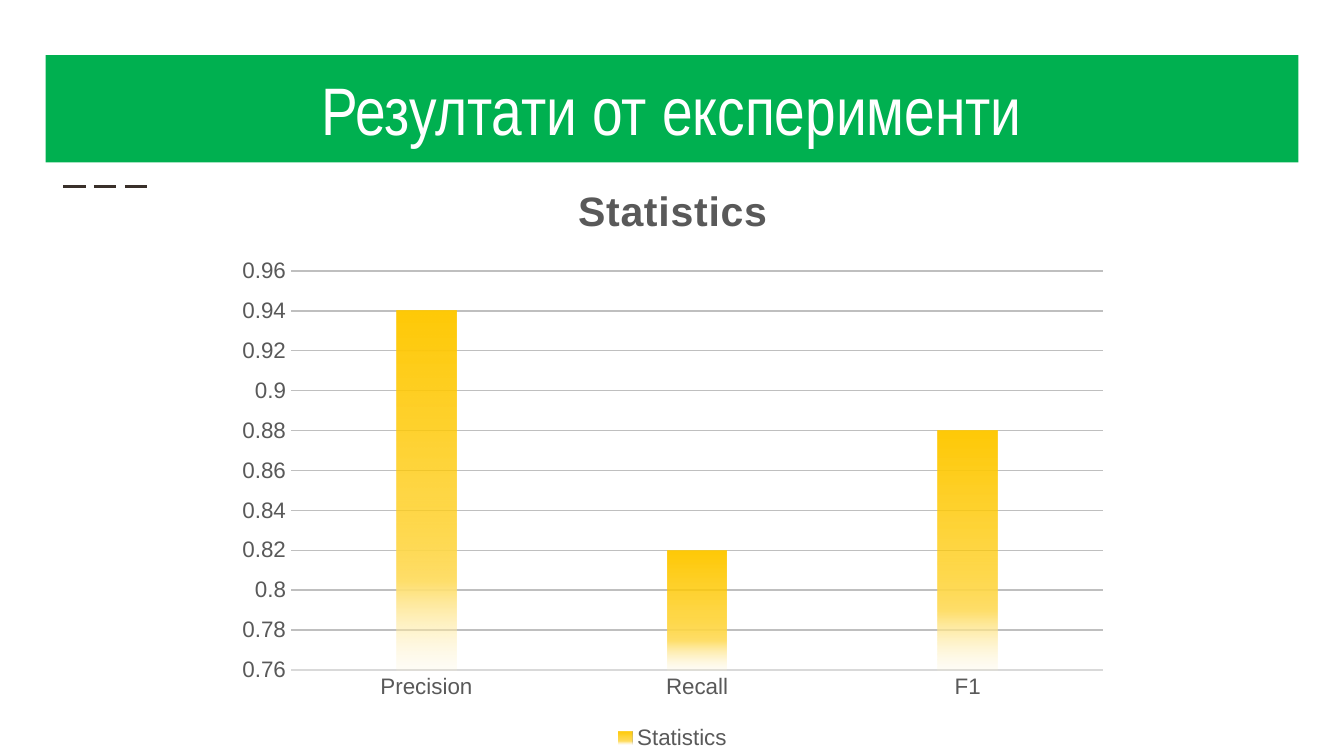
from lxml.etree import SubElement
from pptx import Presentation
from pptx.chart.data import CategoryChartData
from pptx.dml.color import RGBColor
from pptx.enum.chart import XL_CHART_TYPE, XL_LEGEND_POSITION, XL_TICK_MARK
from pptx.enum.dml import MSO_LINE
from pptx.enum.shapes import MSO_CONNECTOR, MSO_SHAPE
from pptx.enum.text import MSO_ANCHOR, PP_ALIGN
from pptx.oxml.ns import qn
from pptx.util import Inches, Pt

COLORS = {
    "banner": "00B050",
    "white": "FFFFFF",
    "dash": "39302A",
    "text": "595959",
    "axis": "D9D9D9",
    "grid": "BFBFBF",
}
BAR_STOPS = [(0, "FFCA08", 100), (51, "FFCA08", 75), (75, "FFDF6B", 100), (100, "FFF4CE", 15)]


def rgb(name):
    return RGBColor.from_string(COLORS[name])


class SlideBuilder:
    """Holds the style and the current slide and adds each kind of element."""

    def __init__(self, slide, font="Arial", title_font="Arial Narrow"):
        self.slide = slide
        self.font = font
        self.title_font = title_font

    def style(self, font, size, color="text", bold=False, name=None):
        font.name = name or self.font
        font.size = Pt(size)
        font.bold = bold
        font.color.rgb = rgb(color)

    def banner(self, text, left, top, width, height):
        banner = self.slide.shapes.add_shape(
            MSO_SHAPE.RECTANGLE, Inches(left), Inches(top), Inches(width), Inches(height))
        banner.shadow.inherit = False
        banner.fill.solid()
        banner.fill.fore_color.rgb = rgb("banner")
        banner.line.fill.background()
        frame = banner.text_frame
        frame.word_wrap = True
        frame.vertical_anchor = MSO_ANCHOR.BOTTOM
        frame.margin_left = frame.margin_right = Inches(0.1)
        frame.margin_top = frame.margin_bottom = Inches(0.1)
        heading = frame.paragraphs[0]
        heading.text = text
        heading.alignment = PP_ALIGN.CENTER
        self.style(heading.font, 36, "white", name=self.title_font)

    def dashes(self, left, right, y):
        dashes = self.slide.shapes.add_connector(
            MSO_CONNECTOR.STRAIGHT, Inches(left), Inches(y), Inches(right), Inches(y))
        dashes.line.color.rgb = rgb("dash")
        dashes.line.width = Pt(1.5)
        dashes.line.dash_style = MSO_LINE.LONG_DASH
        SubElement(dashes._element.spPr, qn("a:effectLst"))

    def column_chart(self, title, scores, left, top, width, height):
        data = CategoryChartData()
        data.categories = list(scores)
        data.add_series(title, list(scores.values()))
        chart = self.slide.shapes.add_chart(
            XL_CHART_TYPE.COLUMN_CLUSTERED, Inches(left), Inches(top),
            Inches(width), Inches(height), data).chart
        self.style(chart.font, 12)

        chart.has_title = True
        heading = chart.chart_title.text_frame.paragraphs[0]
        heading.text = title
        self.style(heading.font, 22, bold=True)
        heading.runs[0].font._element.set("spc", "50")

        chart.has_legend = True
        chart.legend.position = XL_LEGEND_POSITION.BOTTOM
        chart.legend.include_in_layout = False
        self.style(chart.legend.font, 12)

        for axis in (chart.category_axis, chart.value_axis):
            axis.major_tick_mark = axis.minor_tick_mark = XL_TICK_MARK.NONE
            self.style(axis.tick_labels.font, 12)
        category_line = chart.category_axis.format.line
        category_line.color.rgb = rgb("axis")
        category_line.width = Pt(0.75)

        values = chart.value_axis
        values.minimum_scale, values.maximum_scale, values.major_unit = 0.76, 0.96, 0.02
        values.format.line.fill.background()
        gridline = values.major_gridlines.format.line
        gridline.color.rgb = rgb("grid")
        gridline.width = Pt(0.75)

        plot = chart.plots[0]
        plot.vary_by_categories = False
        plot.gap_width = 355
        plot.overlap = -70
        self.gradient(plot.series[0], BAR_STOPS)

    def gradient(self, series, stops):
        fill = series.format.fill
        fill.gradient()
        fill.gradient_angle = 270
        stop_list = series._element.find(".//" + qn("a:gsLst"))
        for old_stop in list(stop_list):
            stop_list.remove(old_stop)
        for position, color, opacity in stops:
            stop = SubElement(stop_list, qn("a:gs"), pos=str(position * 1000))
            shade = SubElement(stop, qn("a:srgbClr"), val=color)
            if opacity < 100:
                SubElement(shade, qn("a:alpha"), val=str(opacity * 1000))


def main():
    presentation = Presentation()
    presentation.slide_width = Inches(10)
    presentation.slide_height = presentation.slide_width * 9 // 16
    builder = SlideBuilder(presentation.slides.add_slide(presentation.slide_layouts[6]))
    builder.dashes(0.47, 1.14, 1.39)
    builder.banner("Резултати от експерименти", 0.34, 0.41, 9.32, 0.8)
    scores = {"Precision": 0.94, "Recall": 0.82, "F1": 0.88}
    builder.column_chart("Statistics", scores, 1.67, 1.18, 6.67, 4.44)
    presentation.save("out.pptx")


if __name__ == "__main__":
    main()
